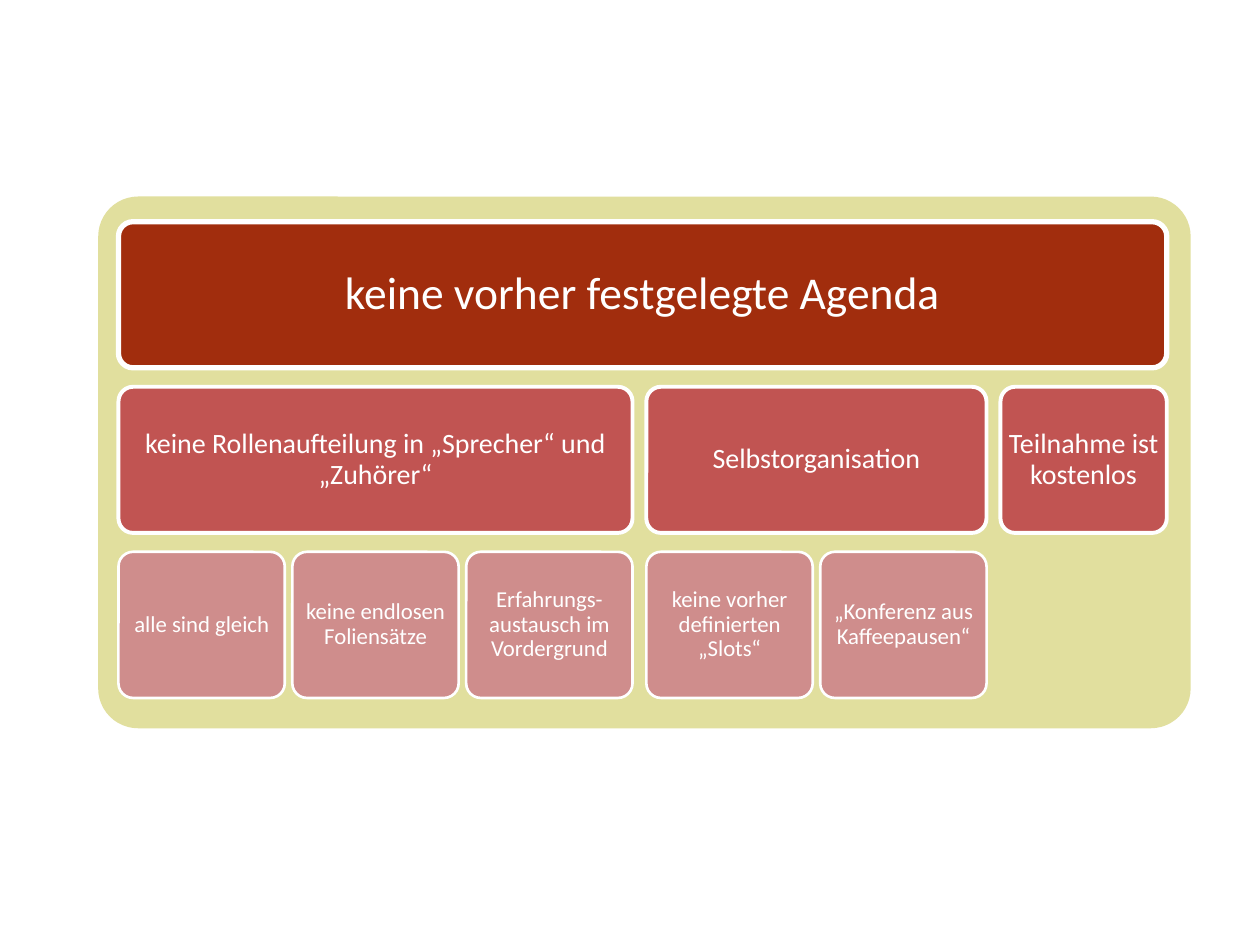
from dataclasses import dataclass

from pptx import Presentation
from pptx.dml.color import RGBColor
from pptx.enum.shapes import MSO_SHAPE as Shape
from pptx.enum.text import MSO_ANCHOR as Anchor, PP_ALIGN as Align
from pptx.util import Inches, Pt

COLORS = {
    "panel": "E1DF9E",
    "agenda": "A12D0D",
    "topic": "C15452",
    "detail": "CF8D8C",
    "white": "FFFFFF",
}

# Grid inside the panel, in inches
PAD_X, PAD_Y = 0.16, 0.2
COLUMN, ROW = 1.32, 1.16
COLUMN_GAP, GROUP_GAP, ROW_GAP = 0.06, 0.11, 0.15

AGENDA = "keine vorher festgelegte Agenda"
TOPICS = [
    ("keine Rollenaufteilung in „Sprecher“ und „Zuhörer“", 3,
     ["alle sind gleich", "keine endlosen Foliensätze",
      "Erfahrungs-austausch im Vordergrund"]),
    ("Selbstorganisation", 2,
     ["keine vorher definierten „Slots“", "„Konferenz aus Kaffeepausen“"]),
    ("Teilnahme ist kostenlos", 1, []),
]


@dataclass
class Level:
    color: str
    size: float
    line: float
    inset: float


LEVELS = [
    Level("agenda", 26, 3, 0.08),
    Level("topic", 16, 2.25, 0.03),
    Level("detail", 13, 1.5, 0.02),
]


def add_box(slide, left, top, width, height, color, rounding):
    """Add a plain rounded rectangle."""
    shape = slide.shapes.add_shape(
        Shape.ROUNDED_RECTANGLE, *map(Inches, (left, top, width, height)))
    shape.adjustments[0] = rounding
    shape.shadow.inherit = False
    shape.fill.solid()
    shape.fill.fore_color.rgb = RGBColor.from_string(COLORS[color])
    shape.line.fill.background()
    return shape


def add_card(slide, left, top, columns, row, text):
    """Add a card of the given row, spanning whole columns."""
    level = LEVELS[row]
    shape = add_box(slide, left, top + row * (ROW + ROW_GAP),
                    span(columns), ROW, level.color, 0.1)
    white = RGBColor.from_string(COLORS["white"])
    shape.line.color.rgb = white
    shape.line.width = Pt(level.line)

    frame = shape.text_frame
    frame.word_wrap = True
    frame.vertical_anchor = Anchor.MIDDLE
    frame.margin_left = frame.margin_right = Inches(level.inset)
    frame.margin_top = frame.margin_bottom = Inches(level.inset)
    frame.text = text
    paragraph = frame.paragraphs[0]
    paragraph.alignment = Align.CENTER
    paragraph.line_spacing = 0.9
    paragraph.font.name = "Calibri"
    paragraph.font.size = Pt(level.size)
    paragraph.font.color.rgb = white
    return shape


def span(columns):
    return columns * COLUMN + (columns - 1) * COLUMN_GAP


def add_hierarchy(slide, left, top, width, height):
    """Fill the panel with the agenda, its topics and their details."""
    add_box(slide, left, top, width, height, "panel", 0.075)
    x, y = left + PAD_X, top + PAD_Y

    # Agenda across all groups
    agenda = add_card(slide, x, y, 1, 0, AGENDA)
    agenda.width = Inches(sum(span(columns) for _, columns, _ in TOPICS)
                          + GROUP_GAP * (len(TOPICS) - 1))

    # Topics, each above its details
    for topic, columns, details in TOPICS:
        add_card(slide, x, y, columns, 1, topic)
        for index, detail in enumerate(details):
            add_card(slide, x + index * (COLUMN + COLUMN_GAP), y, 1, 2, detail)
        x += span(columns) + GROUP_GAP


presentation = Presentation()
presentation.slide_width, presentation.slide_height = Inches(10), Inches(7.5)
slide = presentation.slides.add_slide(presentation.slide_layouts[6])
add_hierarchy(slide, 0.78, 1.56, 8.67, 4.22)
presentation.save("out.pptx")
